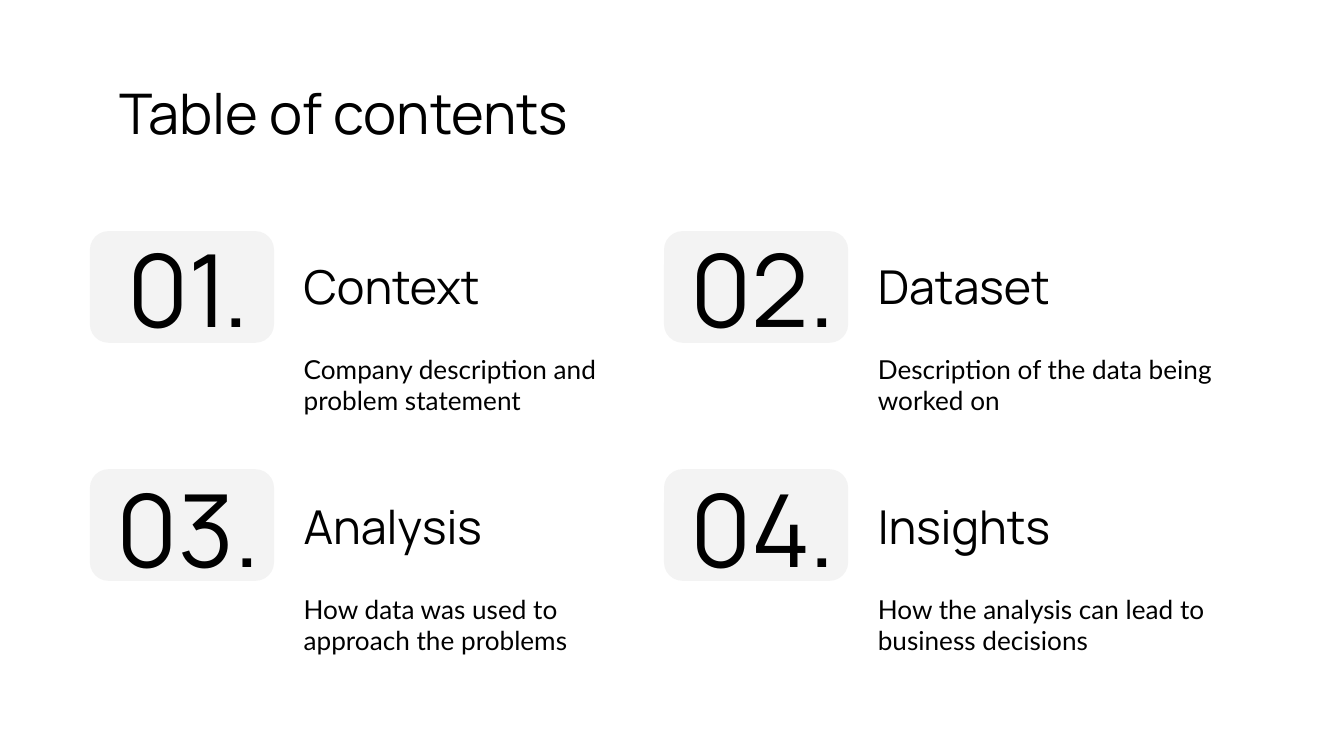
from pptx import Presentation
from pptx.dml.color import RGBColor
from pptx.enum import shapes, text
from pptx.util import Cm, Pt

COLORS = {"ink": "000000", "badge": "F3F3F3", "background": "FFFFFF"}
HEADING_FONT = "Manrope"
BODY_FONT = "Lato"
INSET = Cm(0.25)

SECTIONS = [
    ("Context", "Company description and problem statement"),
    ("Dataset", "Description of the data being worked on"),
    ("Analysis", "How data was used to approach the problems"),
    ("Insights", "How the analysis can lead to business decisions"),
]
COLUMNS = 2
GRID_LEFT, GRID_TOP = 1.63, 4.37
COLUMN_PITCH = 10.85
BADGE_PITCH, TEXT_PITCH = 4.5, 4.53


def add_text(slide, box, words, size, font=HEADING_FONT,
             anchor=text.MSO_ANCHOR.TOP, align=text.PP_ALIGN.LEFT):
    """Place one paragraph in a box of (left, top, width, height) in cm."""
    frame = slide.shapes.add_textbox(*map(Cm, box)).text_frame
    frame.word_wrap = True
    frame.vertical_anchor = anchor
    frame.margin_left = frame.margin_right = INSET
    frame.margin_top = frame.margin_bottom = INSET
    paragraph = frame.paragraphs[0]
    paragraph.text = words
    paragraph.alignment = align
    paragraph.font.size = Pt(size)
    paragraph.font.name = font
    paragraph.font.color.rgb = RGBColor.from_string(COLORS["ink"])


def add_badge(slide, left, top):
    badge = slide.shapes.add_shape(
        shapes.MSO_SHAPE.ROUNDED_RECTANGLE,
        Cm(left), Cm(top), Cm(3.48), Cm(2.11))
    badge.shadow.inherit = False
    badge.fill.solid()
    badge.fill.fore_color.rgb = RGBColor.from_string(COLORS["badge"])
    badge.line.fill.background()


def add_section(slide, left, badge_top, text_top, number, heading, description):
    """Place a numbered entry: badge and number, heading, description."""
    middle = text.MSO_ANCHOR.MIDDLE
    add_badge(slide, left + 0.07, badge_top)
    add_text(slide, (left, text_top + 0.26, 3.86, 1.6), f"{number:02d}.", 54,
             anchor=middle, align=text.PP_ALIGN.CENTER)
    text_left = left + 3.86
    add_text(slide, (text_left, text_top + 0.3, 5.51, 1.47), heading, 25,
             anchor=middle)
    add_text(slide, (text_left, text_top + 2.06, 7.09, 1.35), description, 14,
             font=BODY_FONT)


def main():
    presentation = Presentation()
    presentation.slide_width = Cm(25.4)
    presentation.slide_height = Cm(14.29)
    slide = presentation.slides.add_slide(presentation.slide_layouts[6])
    slide.background.fill.solid()
    slide.background.fill.fore_color.rgb = RGBColor.from_string(
        COLORS["background"])

    # Title
    add_text(slide, (2, 1.24, 21.41, 1.6), "Table of contents", 30)

    # Grid of sections; text rows are spaced slightly wider than badges
    for index, (heading, description) in enumerate(SECTIONS):
        row, column = divmod(index, COLUMNS)
        add_section(slide, GRID_LEFT + column * COLUMN_PITCH,
                    GRID_TOP + row * BADGE_PITCH, GRID_TOP + row * TEXT_PITCH,
                    index + 1, heading, description)

    presentation.save("out.pptx")


if __name__ == "__main__":
    main()
